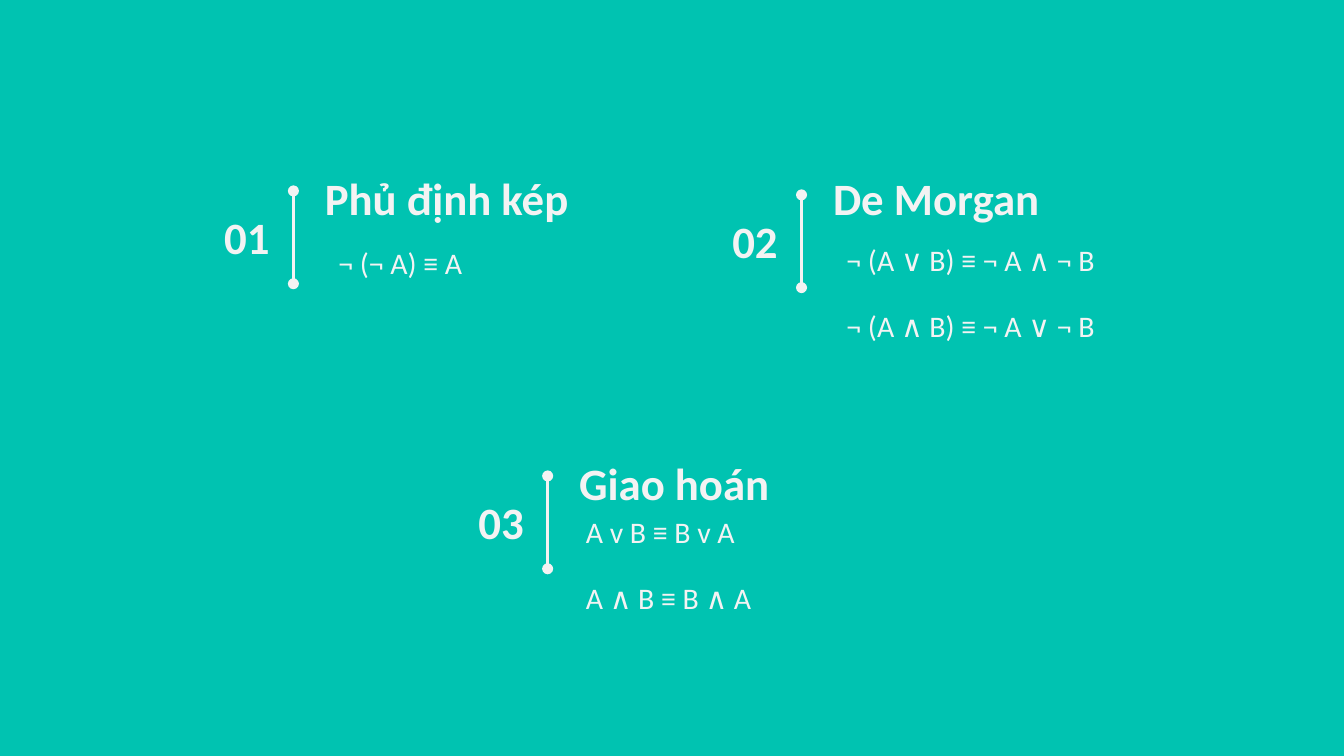
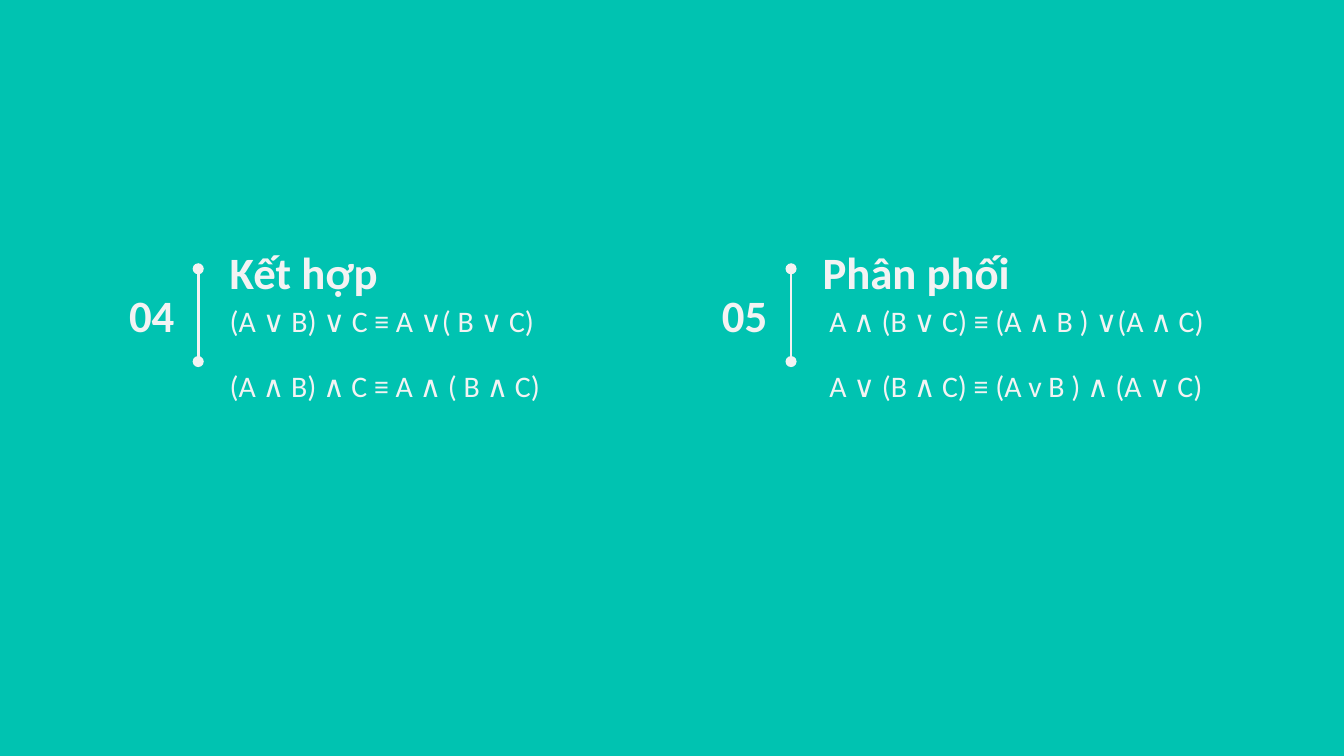
import itertools

import pptx
import pptx.dml.color
import pptx.enum.shapes
import pptx.enum.text
import pptx.oxml
import pptx.oxml.ns
import pptx.util

Pt = pptx.util.Pt
TEAL = pptx.dml.color.RGBColor(0x00, 0xC3, 0xB1)
PALE = pptx.dml.color.RGBColor(0xF3, 0xF3, 0xF3)
MAIN_FONT = "Calibri"
SYMBOL_FONT = "Roboto Condensed"
ALIGN = pptx.enum.text.PP_ALIGN
ANCHOR = pptx.enum.text.MSO_ANCHOR


class LawDeck:
    title_width = 184.3
    title_height = 33
    number_width = 47.5
    rule_length = 49.7

    def __init__(self):
        self.deck = pptx.Presentation()
        self.deck.slide_width = Pt(720)
        self.deck.slide_height = Pt(405)
        self.page = None

    def add_page(self):
        self.page = self.deck.slides.add_slide(self.deck.slide_layouts[6])
        fill = self.page.background.fill
        fill.solid()
        fill.fore_color.rgb = TEAL

    def add_frame(self, left, top, width, height, anchor):
        box = self.page.shapes.add_textbox(Pt(left), Pt(top), Pt(width), Pt(height))
        frame = box.text_frame
        frame.word_wrap = True
        frame.vertical_anchor = anchor
        frame.margin_left = frame.margin_right = Pt(7.2)
        frame.margin_top = frame.margin_bottom = Pt(7.2)
        return frame

    def style(self, para, size, bold=False):
        para.font.size = Pt(size)
        para.font.bold = bold
        para.font.color.rgb = PALE

    def add_heading(self, text, left, top, width, align=ALIGN.LEFT):
        para = self.add_frame(left, top, width, self.title_height, ANCHOR.MIDDLE).paragraphs[0]
        para.text = text
        para.alignment = align
        self.style(para, 24, bold=True)
        para.font.name = MAIN_FONT

    def add_formulas(self, formulas, left, top, width, indent, spacing):
        frame = self.add_frame(left, top, width, 51, ANCHOR.TOP)
        for index, formula in enumerate(formulas):
            para = frame.add_paragraph() if index else frame.paragraphs[0]
            para.space_after = Pt(16)
            para.line_spacing = spacing
            para._p.get_or_add_pPr().set("marL", str(Pt(indent)))
            self.style(para, 16)
            pieces = formula.split("|")
            if len(pieces) == 1:
                para.text = formula
                para.font.name = MAIN_FONT
                continue
            for piece, font in zip(pieces, itertools.cycle((MAIN_FONT, SYMBOL_FONT))):
                span = para.add_run()
                span.text = piece
                span.font.name = font

    def add_rule(self, left, top):
        rule = self.page.shapes.add_connector(
            pptx.enum.shapes.MSO_CONNECTOR.STRAIGHT,
            Pt(left), Pt(top), Pt(left), Pt(top + self.rule_length))
        rule.line.color.rgb = PALE
        rule.line.width = Pt(1.5)
        outline = rule.line._get_or_add_ln()
        for end in ("a:headEnd", "a:tailEnd"):
            outline.append(pptx.oxml.parse_xml(
                f'<{end} {pptx.oxml.ns.nsdecls("a")} type="oval"/>'))
        rule._element.spPr.append(pptx.oxml.parse_xml(
            f'<a:effectLst {pptx.oxml.ns.nsdecls("a")}/>'))

    def add_law(self, number, title, formulas, left, top, rule_drop=15.1,
                formula_drop=25.9, width=title_width, indent=0, spacing=1.0):
        rule_top = top + rule_drop
        self.add_heading(title, left, top, self.title_width)
        self.add_formulas(formulas, left, top + formula_drop, width, indent, spacing)
        self.add_heading(number, left - 63, rule_top + 8, self.number_width, ALIGN.RIGHT)
        self.add_rule(left - 9.8, rule_top)


def main():
    laws = LawDeck()

    laws.add_page()
    laws.add_law("01", "Phủ định kép", ["¬ (¬ A) ≡ A"], 167, 89.3,
                 rule_drop=13, formula_drop=25.2, indent=7.2, spacing=1.5)
    laws.add_law("02", "De Morgan",
                 ["¬ (A ∨ B) ≡ ¬ A ∧ ¬ B", "¬ (A ∧ B) ≡ ¬ A ∨ ¬ B"],
                 439.2, 89.3, formula_drop=33.1, indent=7.2)
    laws.add_law("03", "Giao hoán", ["A v B ≡ B v A", "A ∧ B ≡ B ∧ A"],
                 303.2, 242, rule_drop=13, indent=3.6)

    laws.add_page()
    laws.add_law("04", "Kết hợp",
                 ["(A |∨ |B) |∨ |C ≡ A |∨|( B |∨ |C)", "(A ∧ B) ∧ C ≡ A ∧ ( B ∧ C)"],
                 116, 128.9, width=202.3)
    laws.add_law("05", "Phân phối",
                 ["A ∧ (B |∨ |C) ≡ (A ∧ B ) |∨|(A ∧ C)",
                  "A| ∨| (B ∧ C) ≡ (A v B ) ∧ (A |∨ |C)"],
                 433.6, 128.9, width=221, indent=3.6)

    laws.deck.save("out.pptx")


if __name__ == "__main__":
    main()
